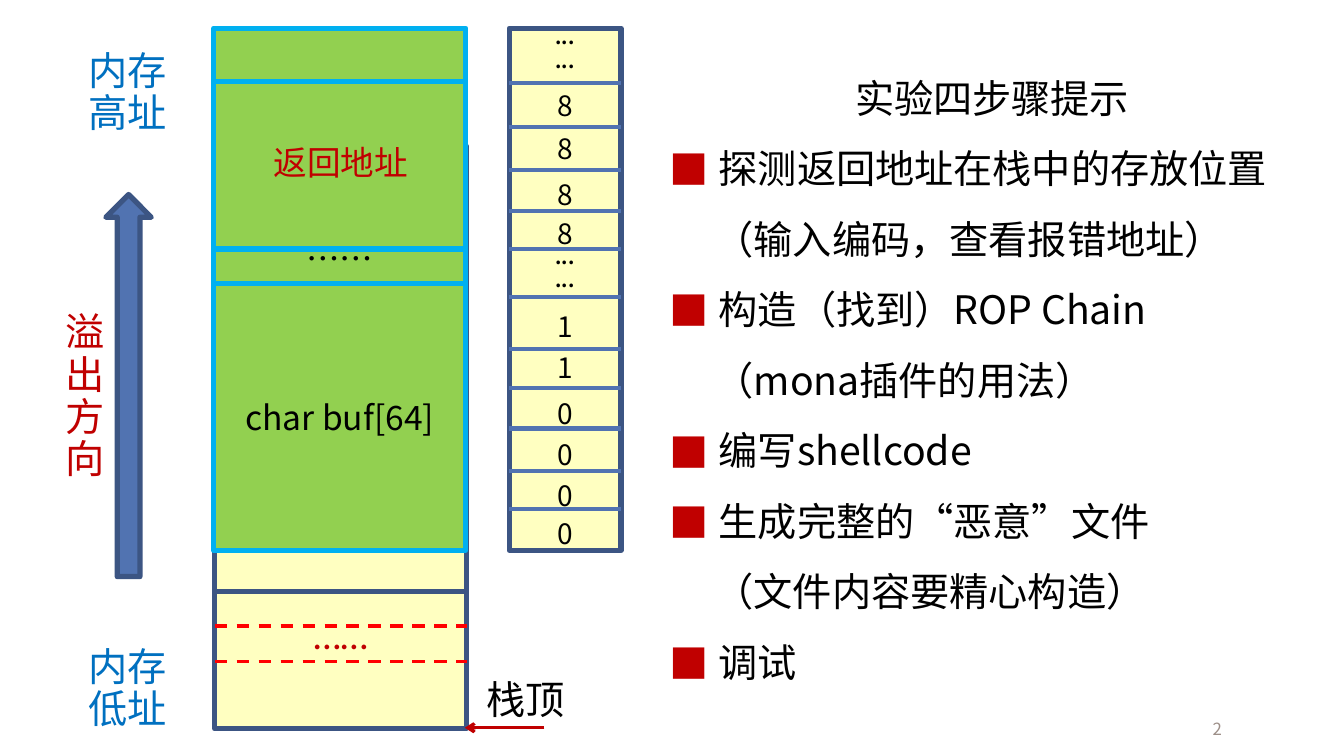
from pptx import Presentation
from pptx.dml.color import RGBColor
from pptx.enum.dml import MSO_LINE
from pptx.enum.shapes import MSO_CONNECTOR, MSO_SHAPE
from pptx.enum.text import MSO_ANCHOR, PP_ALIGN
from pptx.oxml.ns import qn
from pptx.util import Inches, Pt
from lxml.etree import SubElement


class Theme:
    cjk, latin = "Noto Sans CJK SC", "Calibri"
    black, red, blue, grey = "000000", "C00000", "0070C0", "9D8F88"
    cream, green, steel = "FFFFC1", "92D050", "5173B1"
    navy, sky, dash_red = "3C5583", "00B0F0", "FF0000"
    large, medium, digit, dots, small = 28, 24, 20, 14, 12
    outline, divider, thin = 3.78, 3, 2.25
    single, double = 1.3, 1.2  # line pitch in ems: lone lines, stacked lines


HEADING = "实验四步骤提示"
STEPS = [  # (text, has bullet)
    ("探测返回地址在栈中的存放位置", True),
    ("（输入编码，查看报错地址）", False),
    ("构造（找到）ROP Chain", True),
    ("（mona插件的用法）", False),
    ("编写shellcode", True),
    ("生成完整的“恶意”文件", True),
    ("（文件内容要精心构造）", False),
    ("调试", True),
]
STACK_LEFT, STACK_WIDTH = 2.13, 2.5
STACK_FRAMES = [(2.73, 3.14), (1.45, 1.65), (5.87, 1.36)]  # top, height
STACK_DASHES = [6.21, 6.56]
OVERFLOW_LEFT, OVERFLOW_LINE_END = 2.12, 4.6
OVERFLOW_BLOCKS = [  # top, height, text, anchor
    (2.81, 2.65, "char buf[64]", MSO_ANCHOR.MIDDLE),
    (0.28, 2.53, "……", MSO_ANCHOR.BOTTOM),
]
OVERFLOW_DIVIDERS = [2.47, 0.81]
PAYLOAD_LEFT, PAYLOAD_TOP, PAYLOAD_WIDTH, PAYLOAD_HEIGHT = 5.05, 0.28, 1.11, 5.18
PAYLOAD_ROWS = [  # row top, label top, value
    (0.28, 0.2, "..."), (0.82, 0.8, "8"), (1.26, 1.23, "8"), (1.69, 1.68, "8"),
    (2.09, 2.07, "8"), (2.47, 2.38, "..."), (2.95, 2.99, "1"), (3.46, 3.4, "1"),
    (3.85, 3.86, "0"), (4.25, 4.26, "0"), (4.67, 4.67, "0"), (5.05, 5.05, "0"),
]
LABELS = [  # box, lines, format
    ((0.78, 0.46, 1.04, 0.92), ["内存", "高址"],
     dict(color=Theme.blue, pitch=0.9 * Theme.double)),
    ((0.78, 6.37, 1.21, 0.95), ["内存", "低址"],
     dict(color=Theme.blue, pitch=0.9 * Theme.double)),
    ((0.54, 3.05, 0.6, 1.82), ["溢出方向"],
     dict(color=Theme.red, align=PP_ALIGN.CENTER, pitch=0.9 * Theme.double)),
    ((2.51, 5.97, 1.74, 0.57), ["……"],
     dict(color=Theme.red, align=PP_ALIGN.CENTER, latin=Theme.latin)),
    ((4.73, 6.61, 1.04, 0.57), ["栈顶"], dict(latin=Theme.latin)),
    ((2.14, 1.33, 2.48, 0.5), ["返回地址"],
     dict(color=Theme.red, size=Theme.medium, align=PP_ALIGN.CENTER,
          latin=Theme.latin)),
]

prs = Presentation()
prs.slide_width, prs.slide_height = Inches(13.33), Inches(7.5)
slide = prs.slides.add_slide(prs.slide_layouts[5])
shapes = slide.shapes


def inches(values):
    return [Inches(value) for value in values]


def style_font(font, size, color, latin=Theme.cjk, bold=False):
    for key, value in dict(size=Pt(size), name=latin, bold=bold).items():
        setattr(font, key, value)
    font.color.rgb = RGBColor.from_string(color)


def write(frame, lines, size=Theme.large, color=Theme.black, latin=Theme.cjk,
          align=PP_ALIGN.LEFT, pitch=Theme.single, bold=False,
          anchor=MSO_ANCHOR.TOP):
    """Fill a text frame, one paragraph a line; pitch is in ems."""
    frame.word_wrap = True
    frame.vertical_anchor = anchor
    for index, line in enumerate(lines):
        paragraph = frame.paragraphs[0] if index == 0 else frame.add_paragraph()
        paragraph.alignment = align
        paragraph.line_spacing = Pt(round(size * pitch, 1))
        run = paragraph.add_run()
        run.text = line
        style_font(run.font, size, color, latin, bold)
        SubElement(run.font._element, qn("a:ea"), typeface=Theme.cjk)


def add_label(box, lines, **style):
    label = shapes.add_textbox(*inches(box))
    write(label.text_frame, lines, **style)
    return label


def add_block(box, fill, line, kind=MSO_SHAPE.RECTANGLE):
    block = shapes.add_shape(kind, *inches(box))
    block.shadow.inherit = False
    block.fill.solid()
    block.fill.fore_color.rgb = RGBColor.from_string(fill)
    block.line.color.rgb = RGBColor.from_string(line)
    block.line.width = Pt(Theme.outline)
    return block


def add_line(start, end, color, width):
    connector = shapes.add_connector(MSO_CONNECTOR.STRAIGHT, *inches(start + end))
    connector.line.color.rgb = RGBColor.from_string(color)
    connector.line.width = Pt(width)
    SubElement(connector._element.spPr, qn("a:effectLst"))
    return connector


def draw_heading():
    heading = shapes.title
    box = dict(left=6.54, top=0.22, width=6.6, height=0.98)
    for key, value in box.items():
        setattr(heading, key, Inches(value))
    write(heading.text_frame, [HEADING], align=PP_ALIGN.CENTER,
          pitch=2 * Theme.double)


def draw_stack():
    for top, height in STACK_FRAMES:
        add_block((STACK_LEFT, top, STACK_WIDTH, height), Theme.cream, Theme.navy)
    for y in STACK_DASHES:
        dash = add_line((STACK_LEFT, y), (STACK_LEFT + STACK_WIDTH, y),
                        Theme.dash_red, Theme.thin)
        dash.line.dash_style = MSO_LINE.DASH
    stack_top = add_line((5.4, 7.22), (4.61, 7.22), Theme.red, Theme.thin)
    SubElement(stack_top.line._get_or_add_ln(), qn("a:tailEnd"), type="arrow")
    for top, height, text, anchor in OVERFLOW_BLOCKS:
        block = add_block((OVERFLOW_LEFT, top, STACK_WIDTH, height),
                          Theme.green, Theme.sky)
        write(block.text_frame, [text], size=Theme.medium, anchor=anchor,
              align=PP_ALIGN.CENTER, pitch=Theme.double)
    for y in OVERFLOW_DIVIDERS:
        add_line((OVERFLOW_LEFT, y), (OVERFLOW_LINE_END, y),
                 Theme.sky, Theme.outline)
    direction = add_block((1.05, 1.93, 0.45, 3.79), Theme.steel, Theme.navy,
                          MSO_SHAPE.DOWN_ARROW)
    direction.rotation = 180


def draw_payload():
    add_block((PAYLOAD_LEFT, PAYLOAD_TOP, PAYLOAD_WIDTH, PAYLOAD_HEIGHT),
              Theme.cream, Theme.navy)
    for row_top, label_top, value in PAYLOAD_ROWS:
        if row_top > PAYLOAD_TOP:
            add_line((PAYLOAD_LEFT, row_top),
                     (PAYLOAD_LEFT + PAYLOAD_WIDTH, row_top),
                     Theme.steel, Theme.divider)
        if value == "...":
            height, lines = 0.57, [value, value]
            style = dict(size=Theme.dots, bold=True, pitch=Theme.double)
        else:
            height, lines, style = 0.44, [value], dict(size=Theme.digit)
        add_label((PAYLOAD_LEFT + 0.03, label_top, 1.05, height), lines,
                  align=PP_ALIGN.CENTER, **style)


def draw_steps():
    steps = add_label((6.54, 1.15, 6.6, 5.87), [text for text, _ in STEPS],
                      pitch=1.5 * Theme.double)
    for paragraph, (_, bulleted) in zip(steps.text_frame.paragraphs, STEPS):
        properties = paragraph._p.get_or_add_pPr()
        margin, indent = (0.49, -0.49) if bulleted else (0.45, 0)
        properties.set("marL", str(Inches(margin)))
        properties.set("indent", str(Inches(indent)))
        if bulleted:
            bullet_color = SubElement(properties, qn("a:buClr"))
            SubElement(bullet_color, qn("a:srgbClr"), val=Theme.red)
            SubElement(properties, qn("a:buFont"), typeface=Theme.cjk)
            SubElement(properties, qn("a:buChar"), char="■")
        else:
            paragraph.level = 1


def draw_page_number():
    number = add_label((10.12, 7.02, 2, 0.4), ["2"], size=Theme.small,
                       color=Theme.grey, align=PP_ALIGN.RIGHT,
                       anchor=MSO_ANCHOR.MIDDLE)
    number.text_frame.margin_left = number.text_frame.margin_right = 0


def main():
    draw_heading()
    draw_stack()
    for box, lines, style in LABELS:
        add_label(box, lines, **style)
    draw_payload()
    draw_steps()
    draw_page_number()
    prs.save("out.pptx")


if __name__ == "__main__":
    main()
